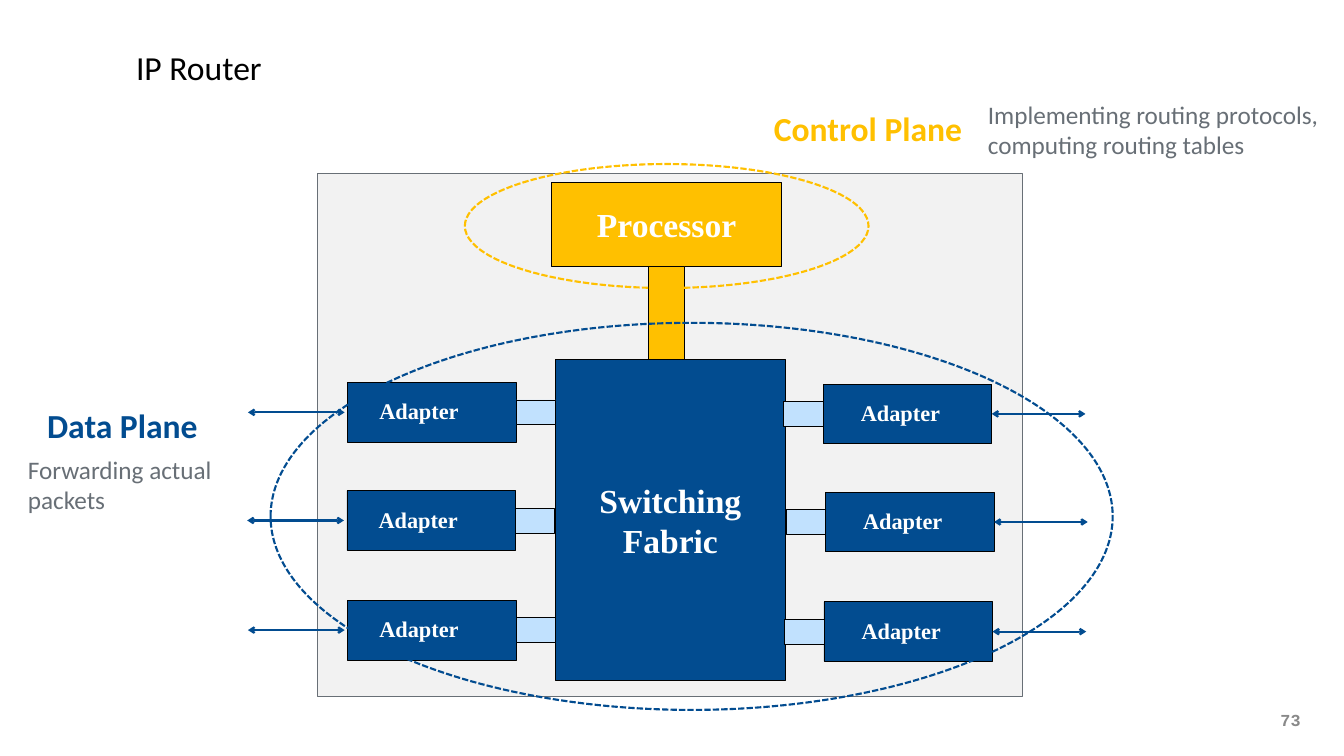
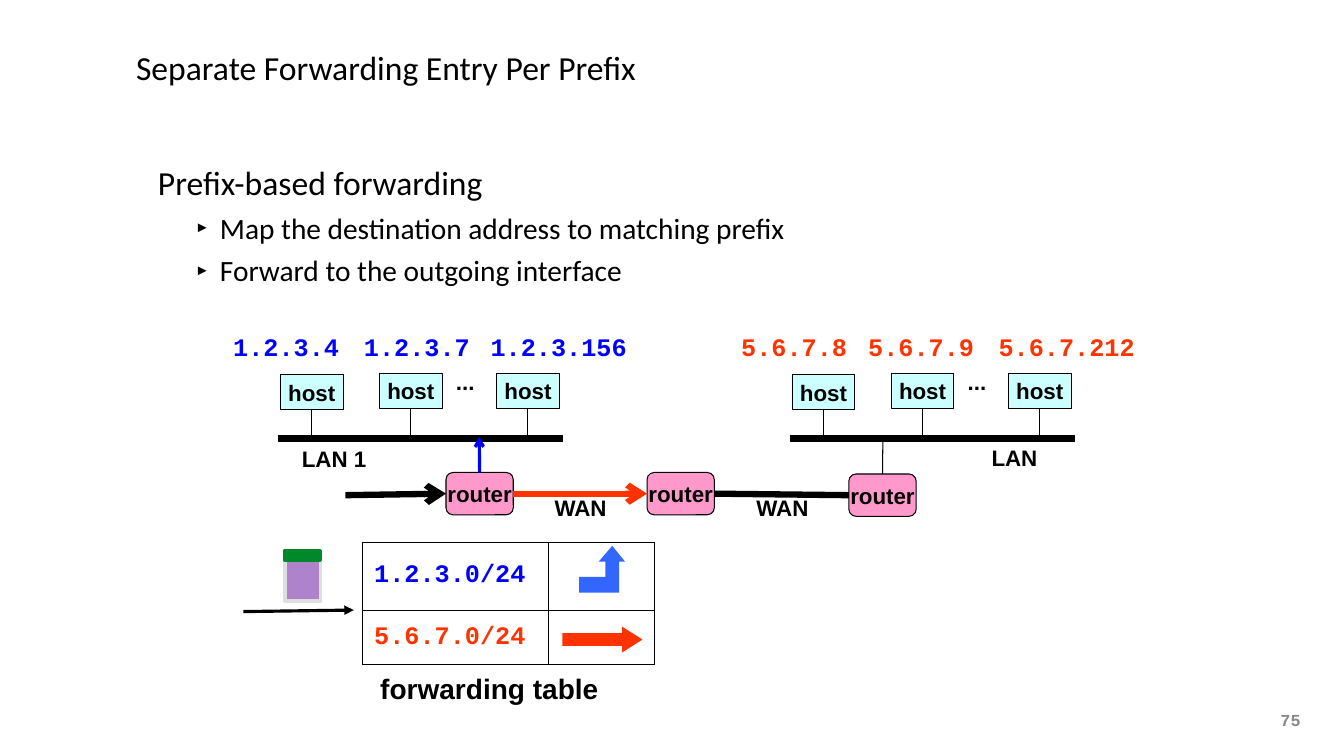
from lxml import etree
from pptx import Presentation
from pptx.dml.color import RGBColor
from pptx.enum.dml import MSO_LINE
from pptx.enum.shapes import MSO_CONNECTOR, MSO_SHAPE
from pptx.enum.text import MSO_ANCHOR, MSO_AUTO_SIZE, PP_ALIGN
from pptx.oxml.ns import qn
from pptx.util import Inches, Pt

RECT, ROUND, OVAL = MSO_SHAPE.RECTANGLE, MSO_SHAPE.ROUNDED_RECTANGLE, MSO_SHAPE.OVAL
RIGHT_ARROW = MSO_SHAPE.RIGHT_ARROW
STRAIGHT = MSO_CONNECTOR.STRAIGHT
DASH = MSO_LINE.SQUARE_DOT
LEFT, CENTER = PP_ALIGN.LEFT, PP_ALIGN.CENTER
MIDDLE, TOP_ANCHOR = MSO_ANCHOR.MIDDLE, MSO_ANCHOR.TOP
FIT, NO_FIT = MSO_AUTO_SIZE.SHAPE_TO_FIT_TEXT, MSO_AUTO_SIZE.NONE
TOP, LEFT_SIDE, BOTTOM, RIGHT_SIDE = range(4)
TITLE_ONLY, TITLE_AND_BODY = 5, 1

COLORS = {
    "black": "000000", "white": "FFFFFF", "panel": "F2F2F2", "gray": "686F76",
    "number": "898989", "navy": "024C90", "gold": "FFC000", "link": "C1E1FE",
    "host": "CCFFFF", "router": "FF99CC", "blue": "0000FF", "red": "FF3300",
    "turn": "3366FF", "packet": "AF82CC", "packet_edge": "DCDEE0", "header": "00882B",
}
SERIF = {"font": "Times New Roman", "bold": True, "color": "white"}
LABEL = {"font": "Arial", "size": 21.3, "bold": True}
MONO = {"font": "Courier New", "size": 24, "bold": True}


def rgb(name):
    return RGBColor.from_string(COLORS[name])


def write(p, text, font="Calibri", size=32, color="black", bold=False, align=LEFT):
    p.alignment = align
    r = p.add_run()
    r.text = text
    r.font.name, r.font.size, r.font.bold = font, Pt(size), bold
    r.font.color.rgb = rgb(color)


def write_lines(tf, text, **fmt):
    for i, line in enumerate(text.split("\n")):
        write(tf.add_paragraph() if i else tf.paragraphs[0], line, **fmt)


class Deck:
    """Holds the shared style and the current slide."""

    def __init__(self):
        self.prs = Presentation()
        self.prs.slide_width, self.prs.slide_height = Inches(17.78), Inches(10)
        self.s = None

    def slide(self, title, number, layout):
        self.s = self.prs.slides.add_slide(self.prs.slide_layouts[layout])
        tf = self.place(self.s.shapes.title, 1.74, 0, 14.31, 1.78, 0.06)
        write(tf.paragraphs[0], title)
        self.text(16.94, 9.39, 0.46, 0.5, number, inset=0, font="Courier New",
                  size=16, color="number", bold=True)

    def place(self, ph, x, y, w, h, inset):
        ph.left, ph.top, ph.width, ph.height = map(Inches, (x, y, w, h))
        tf = ph.text_frame
        tf.auto_size, tf.vertical_anchor = NO_FIT, MIDDLE
        self.margins(tf, inset)
        return tf

    def margins(self, tf, inset):
        tf.margin_left = tf.margin_right = tf.margin_top = tf.margin_bottom = Inches(inset)

    def bullets(self, x, y, w, h, items):
        tf = self.place(self.s.placeholders[1], x, y, w, h, 0)
        for i, (level, text) in enumerate(items):
            p = tf.add_paragraph() if i else tf.paragraphs[0]
            p.level = level
            p.space_before = Pt(7 if i else 0)
            pPr = p._p.get_or_add_pPr()
            pPr.set("marL", str(Inches(1.17 if level else 0.35)))
            pPr.set("indent", str(Inches(-0.33 if level else 0)))
            if level:
                etree.SubElement(pPr, qn("a:buSzPct"), val="50000")
                etree.SubElement(pPr, qn("a:buFont"), typeface="Arial")
                etree.SubElement(pPr, qn("a:buChar"), char="►")
            else:
                etree.SubElement(pPr, qn("a:buNone"))
            write(p, text, size=28 if level else 32)

    def text(self, x, y, w, h, text, wrap=False, inset=None, anchor=TOP_ANCHOR, **fmt):
        sp = self.s.shapes.add_textbox(*map(Inches, (x, y, w, h)))
        tf = sp.text_frame
        tf.word_wrap, tf.auto_size, tf.vertical_anchor = wrap, FIT, anchor
        if inset is not None:
            self.margins(tf, inset)
        write_lines(tf, text, **fmt)

    def paint(self, sp, fill, line, width, dash=None):
        sp.shadow.inherit = False
        if fill:
            sp.fill.solid()
            sp.fill.fore_color.rgb = rgb(fill)
        else:
            sp.fill.background()
        if line:
            sp.line.color.rgb, sp.line.width = rgb(line), Pt(width)
            if dash:
                sp.line.dash_style = dash
        else:
            sp.line.fill.background()

    def shape(self, kind, x, y, w, h, fill=None, line="black", width=0.75,
              dash=None, adj=(), text=None, **fmt):
        sp = self.s.shapes.add_shape(kind, *map(Inches, (x, y, w, h)))
        for i, value in enumerate(adj):
            sp.adjustments[i] = value
        self.paint(sp, fill, line, width, dash)
        if text:
            tf = sp.text_frame
            tf.word_wrap, tf.vertical_anchor = False, MIDDLE
            write_lines(tf, text, align=CENTER, **fmt)
        return sp

    def outline(self, points, fill):
        pts = [(Inches(x), Inches(y)) for x, y in points]
        fb = self.s.shapes.build_freeform(*pts[0])
        fb.add_line_segments(pts[1:], close=True)
        self.paint(fb.convert_to_shape(), fill, None, 0)

    def line(self, start, end, color="black", width=1, head=None, tail=None):
        """Each end is an (x, y) point or a (shape, side) pair."""
        joins = [isinstance(e[0], (int, float)) is False for e in (start, end)]
        pts = [(0, 0) if j else tuple(map(Inches, e)) for j, e in zip(joins, (start, end))]
        c = self.s.shapes.add_connector(STRAIGHT, *pts[0], *pts[1])
        if joins[0]:
            c.begin_connect(*start)
        if joins[1]:
            c.end_connect(*end)
        c.line.color.rgb, c.line.width = rgb(color), Pt(width)
        spPr = c._element.spPr
        for tag, kind in (("a:headEnd", head), ("a:tailEnd", tail)):
            if kind:
                etree.SubElement(spPr.find(qn("a:ln")), qn(tag), type=kind)
        etree.SubElement(spPr, qn("a:effectLst"))

    def table(self, x, y, widths, heights, rows):
        gf = self.s.shapes.add_table(len(heights), len(widths), Inches(x), Inches(y),
                                     Inches(sum(widths)), Inches(sum(heights)))
        t = gf.table
        t.first_row = t.horz_banding = False
        for col, w in zip(t.columns, widths):
            col.width = Inches(w)
        for row, h in zip(t.rows, heights):
            row.height = Inches(h)
        for cell in t.iter_cells():
            cell.fill.background()
            cell.vertical_anchor, cell.margin_left = MIDDLE, Inches(0.16)
            tcPr = cell._tc.get_or_add_tcPr()
            for i, tag in enumerate(("a:lnL", "a:lnR", "a:lnT", "a:lnB")):
                ln = etree.Element(qn(tag), w=str(Pt(0.75)))
                fill = etree.SubElement(ln, qn("a:solidFill"))
                etree.SubElement(fill, qn("a:srgbClr"), val=COLORS["black"])
                tcPr.insert(i, ln)
        for i, (text, color) in enumerate(rows):
            write(t.cell(i, 0).text_frame.paragraphs[0], text, color=color, **MONO)


def adapter(d, x, y, right):
    """Adapter box with its link to the fabric and its line to the outside."""
    w, h, link = 2.23, 0.79, 0.52
    box = d.shape(RECT, x, y, w, h, "navy")
    d.shape(RECT, x - link if right else x + w, y + 0.23, link, 0.33, "link")
    d.text(x + (0.4 if right else 0.32), y + 0.15, 1.27, 0.46, "Adapter", size=21.3, **SERIF)
    mid = y + h / 2
    if right:
        start, end = (box, RIGHT_SIDE), (x + 3.47, mid)
    else:
        start, end = (x - 0.04, mid), (x - 1.32, mid)
    d.line(start, end, "navy", 2, head="arrow", tail="arrow")


def lan(d, x, label, label_box, color, addresses):
    """Bus line with three hosts, their addresses and a name."""
    bus_y, w, h = 5.8, 0.83, 0.46
    d.line((x, bus_y), (x + 3.77, bus_y), width=6)
    for dx, y in ((0.03, 4.96), (1.34, 4.94), (2.89, 4.94)):
        host = d.shape(RECT, x + dx, y, w, h, "host", width=1, text="host", **LABEL)
        d.line((host, BOTTOM), (x + dx + w / 2, bus_y))
    d.text(x + 2.25, 4.82, 0.45, h, "...", anchor=MIDDLE, align=CENTER, **LABEL)
    d.text(*label_box, h, label, anchor=MIDDLE, align=CENTER, **LABEL)
    for left, width, address in addresses:
        d.text(left, 4.33, width, 0.5, address, color=color, align=CENTER, **MONO)


def router_slide(d):
    d.slide("IP Router", "73", TITLE_ONLY)
    d.shape(RECT, 4.2, 2.3, 9.32, 6.91, "panel", "gray")

    # Fabric and processor
    d.shape(RECT, 7.35, 4.75, 3.04, 4.25, "navy", text="Switching\nFabric", **SERIF)
    d.shape(RECT, 7.3, 2.41, 3.04, 1.12, "gold", text="Processor", **SERIF)
    d.shape(RECT, 8.58, 3.52, 0.48, 1.23, "gold")

    # Adapters
    for x, y in ((4.6, 5.06), (4.59, 6.49), (4.6, 7.94)):
        adapter(d, x, y, right=False)
    for x, y in ((10.89, 5.08), (10.92, 6.51), (10.9, 7.96)):
        adapter(d, x, y, right=True)

    # Planes
    d.text(0.51, 5.31, 2.22, 0.64, "Data Plane", color="navy", bold=True, align=CENTER)
    d.text(10.12, 1.38, 2.73, 0.64, "Control Plane", color="gold", bold=True, align=CENTER)
    d.shape(OVAL, 6.15, 2.17, 5.34, 1.64, line="gold", width=2, dash=DASH)
    d.shape(OVAL, 3.58, 4.27, 11.14, 5.12, line="navy", width=2, dash=DASH)
    d.text(12.97, 1.26, 4.81, 0.91, "Implementing routing protocols,\ncomputing routing tables",
           wrap=True, size=24, color="gray")
    d.text(0.27, 5.96, 2.72, 0.91, "Forwarding actual packets", wrap=True, size=24, color="gray")


def prefix_slide(d):
    d.slide("Separate Forwarding Entry Per Prefix", "75", TITLE_AND_BODY)
    d.bullets(1.74, 2.02, 14.31, 1.91, [
        (0, "Prefix-based forwarding"),
        (1, "Map the destination address to matching prefix"),
        (1, "Forward to the outgoing interface"),
    ])

    # Local networks
    lan(d, 3.68, "LAN 1", (3.89, 5.84, 1.06), "blue",
        [(2.98, 1.61, "1.2.3.4"), (4.71, 1.61, "1.2.3.7"), (6.38, 2.02, "1.2.3.156")])
    lan(d, 10.45, "LAN", (13.01, 5.82, 0.82), "red",
        [(9.7, 1.61, "5.6.7.8"), (11.38, 1.61, "5.6.7.9"), (13.1, 2.02, "5.6.7.212")])

    # Routers and the lines between them
    r1, r2, r3 = [d.shape(ROUND, x, y, 0.89, 0.56, "router", width=1, text="router", **LABEL)
                  for x, y in ((5.9, 6.25), (8.56, 6.25), (11.23, 6.27))]
    d.line((11.68, 5.8), (r3, TOP))
    d.line((r2, RIGHT_SIDE), (r3, LEFT_SIDE), width=6)
    d.line((6.34, 5.78), (r1, TOP), "blue", 3, head="arrow")
    d.line((r1, RIGHT_SIDE), (r2, LEFT_SIDE), "red", 6, tail="arrow")
    d.line((4.57, 6.55), (r1, LEFT_SIDE), width=6, tail="arrow")
    for x in (7.22, 9.89):
        d.text(x, 6.48, 0.92, 0.46, "WAN", anchor=MIDDLE, align=CENTER, **LABEL)

    # Forwarding table
    d.table(4.79, 7.17, (2.47, 1.4), (0.9, 0.72),
            [("1.2.3.0/24", "blue"), ("5.6.7.0/24", "red")])
    d.outline([(8.1, 7.22), (7.92, 7.43), (8.01, 7.43), (8.01, 7.63), (7.66, 7.63),
               (7.66, 7.84), (8.19, 7.84), (8.19, 7.43), (8.27, 7.43)], "turn")
    d.shape(RIGHT_ARROW, 7.44, 8.29, 1.06, 0.34, "red", None, adj=(0.5, 0.79))
    d.text(4.92, 8.83, 3.11, 0.55, "forwarding table", font="Arial", size=26.7,
           bold=True, align=CENTER)

    # Arriving packet
    d.line((3.22, 8.09), (4.68, 8.07), width=3, tail="triangle")
    d.shape(RECT, 3.77, 7.28, 0.47, 0.67, "packet", "packet_edge", 3)
    d.shape(RECT, 3.77, 7.28, 0.47, 0.13, "header", "header", 3)


def main():
    d = Deck()
    router_slide(d)
    prefix_slide(d)
    d.prs.save("out.pptx")


if __name__ == "__main__":
    main()
